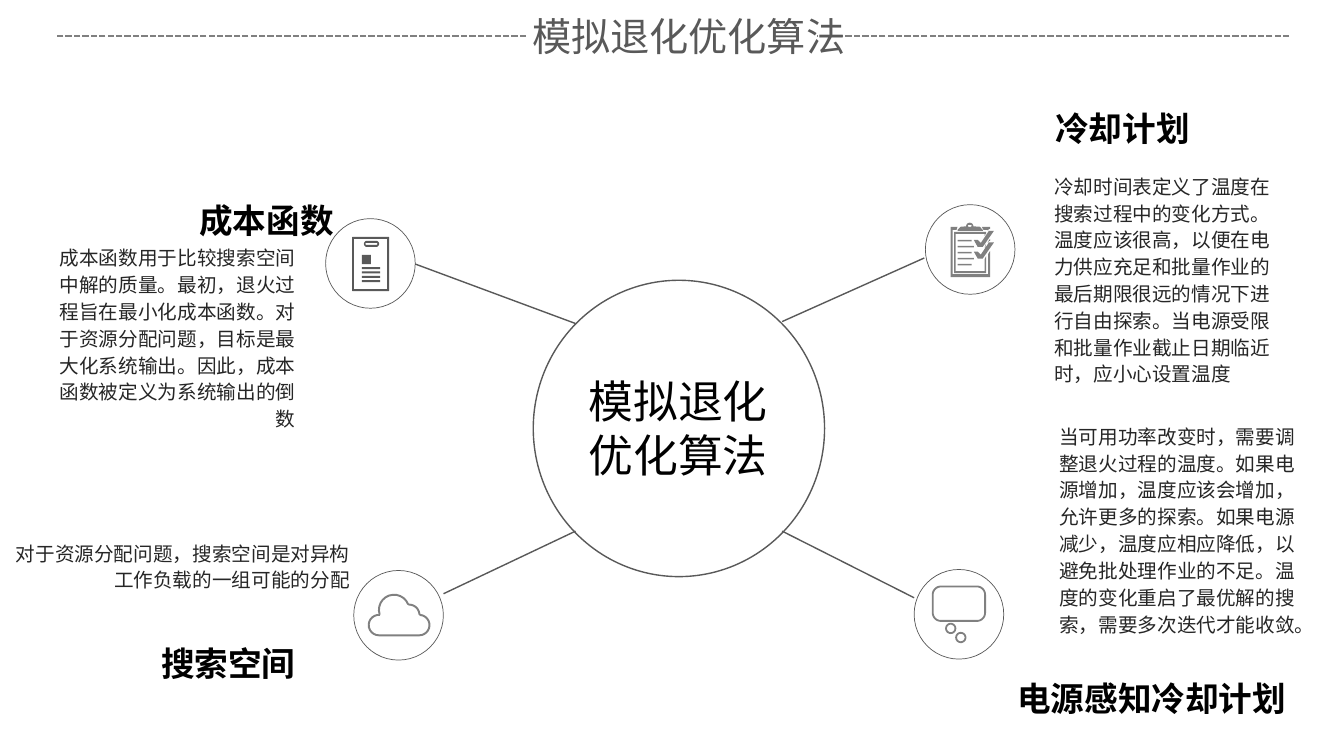
from math import cos, radians, sin

from lxml.etree import SubElement
from pptx import Presentation
from pptx.dml.color import RGBColor
from pptx.enum.dml import MSO_LINE
from pptx.enum.shapes import MSO_CONNECTOR, MSO_SHAPE
from pptx.enum.text import MSO_AUTO_SIZE, PP_ALIGN
from pptx.oxml.ns import qn
from pptx.util import Pt

BLACK = RGBColor(0x00, 0x00, 0x00)
INK = RGBColor(0x26, 0x26, 0x26)
DARK_GRAY = RGBColor(0x59, 0x59, 0x59)
GRAY = RGBColor(0x80, 0x80, 0x80)
CJK_FONT = "Noto Sans CJK SC"
UNITS_PER_POINT = 100
BADGE_SIZE = 64


def trace_arcs(arcs, steps=12):
    return [
        (x + radius * cos(radians(start + (end - start) * step / steps)),
         y + radius * sin(radians(start + (end - start) * step / steps)))
        for x, y, radius, start, end in arcs
        for step in range(steps + 1)
    ]


def rounded_box(left, top, right, bottom, radius=0):
    if radius == 0:
        return [(left, top), (right, top), (right, bottom), (left, bottom)]
    return trace_arcs([
        (left + radius, top + radius, radius, 180, 270),
        (right - radius, top + radius, radius, 270, 360),
        (right - radius, bottom - radius, radius, 0, 90),
        (left + radius, bottom - radius, radius, 90, 180),
    ])


presentation = Presentation()
presentation.slide_width = Pt(960)
presentation.slide_height = Pt(540)
slide = presentation.slides.add_slide(presentation.slide_layouts[6])

id_card = [
    rounded_box(18.9, 13, 45.4, 51.8, 0.6),
    rounded_box(20.2, 14.4, 43.9, 50.4),
    rounded_box(27.4, 15.8, 38.2, 20.2, 2.2),
    rounded_box(28.4, 17.2, 37, 18.8, 0.8),
    rounded_box(25.9, 25.9, 32.4, 32.4),
]
id_card += [rounded_box(25.9, 34.6 + 3.1 * row, 38.9, 36 + 3.1 * row) for row in range(4)]

cloud = [
    trace_arcs([
        (18, 39, 8 - inset, 90, 275),
        (28.8, 28.1, 11.5 - inset, 163, 338),
        (39.6, 31.7, 8 - inset, 270, 357),
        (46.8, 39, 8 - inset, 275, 450),
    ])
    for inset in (0, 1.4)
]

speech_bubble = [
    rounded_box(12.6 + inset, 11.5 + inset, 51.3 - inset, 37.4 - inset, 6.5 - inset)
    for inset in (0, 1.3)
]
speech_bubble += [
    trace_arcs([(x, y, radius, 0, 360)], 24)
    for x, y in [(26.1, 42.1), (33.3, 48.6)]
    for radius in (4, 2.7)
]

clipboard = [
    [(46.2, 33.1), (46.2, 51.8), (18, 51.8), (18, 15.8), (23, 15.8), (22.3, 18),
     (19.4, 18), (19.4, 49.7), (44.8, 49.7), (44.8, 35.3)],
    [(40.3, 15.8), (46.2, 15.8), (46.2, 17.3), (45.4, 17.3), (44.6, 18.7), (44.6, 18),
     (41.5, 18)],
    [(44.6, 26.6), (46.2, 24.5), (46.2, 25.9), (45.4, 25.9), (44.6, 27.4)],
    [(43.5, 36.7), (43.5, 49), (20.5, 49), (20.5, 19.4), (43.5, 19.4), (43.5, 20.2),
     (42.3, 22.3), (42.3, 20.9), (21.6, 20.9), (21.6, 47.5), (42.3, 47.5), (42.3, 38.9)],
    [(43.2, 28.1), (43.2, 28.8), (42.5, 31), (42.5, 30.2)],
    [(23, 18.7), (23, 18), (25.2, 15.8), *trace_arcs([(31.7, 15.5, 2.6, 180, 360)]),
     (38.9, 15.8), (41, 18), (41, 18.7)],
    rounded_box(30.4, 14.4, 33, 15.8, 0.6),
]
clipboard += [
    rounded_box(23, 25.2 + 4.3 * row, 34.6 if row % 2 else 33.1, 26.2 + 4.3 * row)
    for row in range(5)
]
check_mark = [(49, 18.7), (41, 30.2), (37.4, 30.2), (34.6, 25.2), (37.4, 25.2),
              (39.6, 27.4), (45.4, 18.7)]
clipboard += [[(x, y + drop) for x, y in check_mark] for drop in (0, 8.3)]

badges = [
    (232.6, 156.2, id_card, DARK_GRAY),
    (252.7, 407.5, cloud, GRAY),
    (653, 406.8, speech_bubble, GRAY),
    (661, 146.2, clipboard, GRAY),
]
circles = [(380.9, 200.2, 208.1, 211.7, 1)]
circles += [(left, top, BADGE_SIZE, BADGE_SIZE, 0.5) for left, top, icon, color in badges]
for left, top, width, height, weight in circles:
    circle = slide.shapes.add_shape(MSO_SHAPE.OVAL, Pt(left), Pt(top), Pt(width), Pt(height))
    circle.shadow.inherit = False
    circle.fill.background()
    circle.line.color.rgb = DARK_GRAY
    circle.line.width = Pt(weight)

for left, top, icon, color in badges:
    builder = None
    for contour in icon:
        points = [(x * UNITS_PER_POINT, y * UNITS_PER_POINT) for x, y in contour]
        if builder is None:
            builder = slide.shapes.build_freeform(*points[0], scale=Pt(1) / UNITS_PER_POINT)
        else:
            builder.move_to(*points[0])
        builder.add_line_segments(points[1:], close=True)
    shape = builder.convert_to_shape(Pt(left), Pt(top))
    shape.shadow.inherit = False
    shape.fill.solid()
    shape.fill.fore_color.rgb = color
    shape.line.fill.background()

lines = [
    (296.6, 188.6, 411.1, 231.1, DARK_GRAY, 1, None),
    (316.8, 424.1, 411.1, 379.4, DARK_GRAY, 1, None),
    (558.7, 229.7, 660.2, 184.3, DARK_GRAY, 1, None),
    (558.7, 379.4, 653, 427, DARK_GRAY, 1, None),
    (920.9, 25.9, 583.9, 25.9, GRAY, 1.5, MSO_LINE.SQUARE_DOT),
    (375.8, 25.9, 39.6, 25.9, GRAY, 1.5, MSO_LINE.SQUARE_DOT),
]
for start_x, start_y, end_x, end_y, color, weight, dash in lines:
    connector = slide.shapes.add_connector(
        MSO_CONNECTOR.STRAIGHT, Pt(start_x), Pt(start_y), Pt(end_x), Pt(end_y))
    connector.line.color.rgb = color
    connector.line.width = Pt(weight)
    if dash:
        connector.line.dash_style = dash
    SubElement(connector._element.spPr, qn("a:effectLst"))

body = (14, "Quicksand", INK, False, 1.14)
heading = (24, CJK_FONT, BLACK, True, None)
title = (28, "Arial", DARK_GRAY, False, None)
hub_label = (32, CJK_FONT, BLACK, False, None)
texts = [
    (24.5, 169.9, 193.7, 142.6, PP_ALIGN.RIGHT, body,
     "成本函数用于比较搜索空间中解的质量。最初，退火过程旨在最小化成本函数。对于资源分配问题，"
     "目标是最大化系统输出。因此，成本函数被定义为系统输出的倒数"),
    (-2.9, 380.9, 259.9, 46.1, PP_ALIGN.RIGHT, body,
     "对于资源分配问题，搜索空间是对异构工作负载的一组可能的分配"),
    (745.9, 118.8, 175, 162, PP_ALIGN.LEFT, body,
     "冷却时间表定义了温度在搜索过程中的变化方式。温度应该很高，以便在电力供应充足和批量作业的"
     "最后期限很远的情况下进行自由探索。当电源受限和批量作业截止日期临近时，应小心设置温度"),
    (749.5, 297.4, 190.8, 162, PP_ALIGN.LEFT, body,
     "当可用功率改变时，需要调整退火过程的温度。如果电源增加，温度应该会增加，允许更多的探索。"
     "如果电源减少，温度应相应降低，以避免批处理作业的不足。温度的变化重启了最优解的搜索，"
     "需要多次迭代才能收敛。"),
    (0, 139, 380.9, 36, PP_ALIGN.CENTER, heading, "成本函数"),
    (611.3, 73.4, 380.9, 36, PP_ALIGN.CENTER, heading, "冷却计划"),
    (-27.4, 455.8, 380.9, 36, PP_ALIGN.CENTER, heading, "搜索空间"),
    (632.2, 481, 380.9, 36, PP_ALIGN.CENTER, heading, "电源感知冷却计划"),
    (373, 5, 238.3, 41, PP_ALIGN.LEFT, title, "模拟退化优化算法"),
    (413.3, 263.5, 145.4, 85, PP_ALIGN.LEFT, hub_label, "模拟退化优化算法"),
]
for left, top, width, height, alignment, style, text in texts:
    size, font_name, color, bold, line_spacing = style
    text_box = slide.shapes.add_textbox(Pt(left), Pt(top), Pt(width), Pt(height))
    text_frame = text_box.text_frame
    text_frame.word_wrap = style is not title
    text_frame.auto_size = MSO_AUTO_SIZE.SHAPE_TO_FIT_TEXT
    paragraph = text_frame.paragraphs[0]
    paragraph.alignment = alignment
    paragraph.line_spacing = line_spacing
    run = paragraph.add_run()
    run.text = text
    run.font.size = Pt(size)
    run.font.bold = bold
    run.font.color.rgb = color
    run.font.name = font_name
    SubElement(run.font._element, qn("a:ea")).set("typeface", CJK_FONT)

presentation.save("out.pptx")
